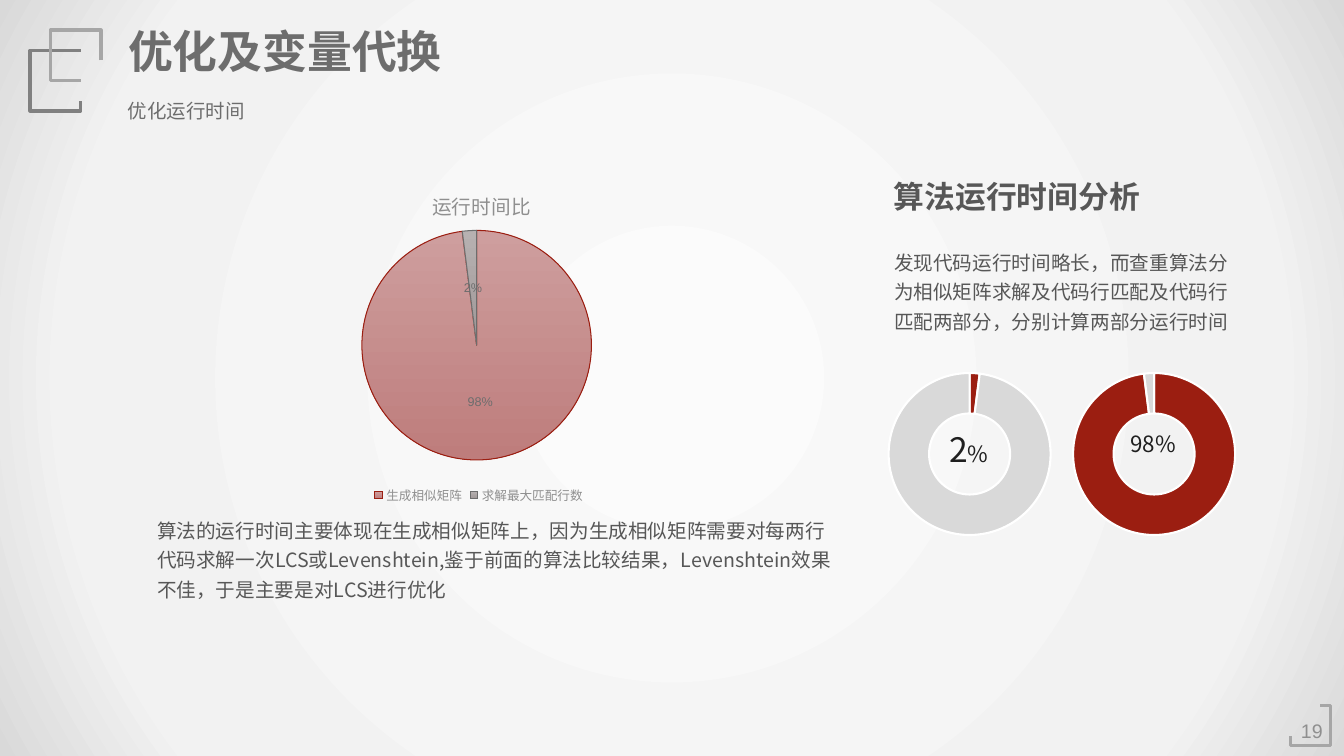
from dataclasses import dataclass
from typing import Any, Optional

from pptx import Presentation, util as u
from pptx.chart.chart import Chart
from pptx.chart.data import CategoryChartData
from pptx.dml.color import RGBColor
from pptx.enum import chart as ch, shapes, text
from pptx.oxml import parse_xml
from pptx.oxml.ns import nsdecls, qn

CELL = u.Inches(0.1)  # the slide is a grid of square cells
COLUMNS, ROWS = 133.33, 75


@dataclass(frozen=True)
class Theme:
    latin: str = "Arial"
    cjk: str = "Noto Sans CJK SC"
    title: str = "6D6D6D"
    body: str = "575757"
    ink: str = "1F1F1F"
    muted: str = "8F8F8F"
    accent: str = "9B1E11"
    rest: str = "D9D9D9"
    dark_frame: str = "808080"
    light_frame: str = "A6A6A6"
    title_pt: int = 32
    subtitle_pt: int = 24
    heading_pt: int = 22
    label_pt: int = 16
    body_pt: int = 14
    chart_pt: int = 10
    legend_pt: int = 9


@dataclass(frozen=True)
class Box:
    """A place on the grid, in columns and rows."""
    left: float
    top: float
    width: float
    height: float

    def emu(self) -> list[int]:
        return [round(n * CELL) for n in (self.left, self.top, self.width, self.height)]


@dataclass(frozen=True)
class Passage:
    box: Box
    words: str
    size: int
    color: str
    font: str
    bold: bool = False
    align: text.PP_ALIGN = text.PP_ALIGN.LEFT
    spacing: float = 0.9
    margin: float = 0
    anchor: text.MSO_ANCHOR = text.MSO_ANCHOR.TOP
    wrap: bool = True


@dataclass(frozen=True)
class Frame:
    points: tuple[tuple[float, float], ...]
    color: str
    width: float


@dataclass(frozen=True)
class Ring:
    box: Box
    share: int


T = Theme()
CENTER = text.PP_ALIGN.CENTER

TITLE = Passage(Box(11.7, 2.5, 33.4, 6.4), "优化及变量代换", T.title_pt, T.title, T.latin,
                bold=True, wrap=False)
SUBTITLE = Passage(Box(11.7, 8.3, 25.2, 3.7), "优化运行时间", T.subtitle_pt, T.title, T.latin)
ANALYSIS = Passage(
    Box(87.7, 23.8, 35.2, 9.6),
    "发现代码运行时间略长，而查重算法分为相似矩阵求解及代码行匹配及代码行匹配两部分，分别计算两部分运行时间",
    T.body_pt, T.body, T.cjk, spacing=1.25)
PASSAGES = [
    Passage(Box(87.7, 17.6, 30.5, 4.7), "算法运行时间分析", T.heading_pt, T.body, T.cjk, bold=True),
    Passage(Box(14.2, 50.4, 69.4, 9.6),
            "算法的运行时间主要体现在生成相似矩阵上，因为生成相似矩阵需要对每两行代码求解一次LCS或Levenshtein,"
            "鉴于前面的算法比较结果，Levenshtein效果不佳，于是主要是对LCS进行优化",
            T.body_pt, T.body, T.cjk, spacing=1.25, margin=0.4),
    Passage(Box(105.7, 42.5, 17.4, 3.7), "98%", T.label_pt, T.ink, T.cjk, align=CENTER),
    Passage(Box(128, 70.9, 4.3, 3.1), "19", T.body_pt, T.muted, T.latin, align=CENTER,
            spacing=1, anchor=text.MSO_ANCHOR.MIDDLE, wrap=False),
]
SMALL_SHARE = Passage(Box(87.4, 42.5, 17.4, 5), "2", T.subtitle_pt, T.ink, T.cjk, align=CENTER)
FRAMES = [
    Frame(((8.4, 5.4), (8.4, 4.6), (3, 4.6), (3, 10.7), (8.4, 10.7), (8.4, 10)), T.dark_frame, 2.5),
    Frame(((10.1, 6), (10.1, 3.3), (4.7, 3.3), (4.7, 8.1), (7.6, 8.1)), T.light_frame, 2.5),
    Frame(((128, 73.3), (128, 74.3), (132.4, 74.3), (132.4, 70.5), (130.8, 70.5)), T.light_frame, 2),
]
RINGS = [Ring(Box(86.6, 35, 19, 20.1), 2), Ring(Box(104.9, 35, 19, 20.1), 98)]
PIE_BOX = Box(26.7, 16.4, 41.6, 34)
PIE_FILLS = [("CE9E9E", "BE7D7C", T.accent), ("B7B1B1", "9F9797", T.title)]
BACKDROP = ((0, "FBFBFB"), (79, "F2F2F2"), (100, "D9D9D9"))


def rgb(color: str) -> RGBColor:
    return RGBColor.from_string(color)


def set_font(font: Any, name: str, size: int, color: str, bold: bool = False) -> None:
    font.name, font.size, font.bold = name, u.Pt(size), bold
    font.color.rgb = rgb(color)


def write(holder: Any, passage: Passage) -> Any:
    """Fill a text box or placeholder and return its paragraph."""
    holder.left, holder.top, holder.width, holder.height = passage.box.emu()
    frame = holder.text_frame
    frame.text = passage.words
    frame.word_wrap = passage.wrap
    frame.auto_size = text.MSO_AUTO_SIZE.NONE
    frame.vertical_anchor = passage.anchor
    paragraph = frame.paragraphs[0]
    paragraph.alignment = passage.align
    paragraph.line_spacing = passage.spacing
    paragraph.space_before = u.Pt(0)
    set_font(paragraph.font, passage.font, passage.size, passage.color, passage.bold)
    properties = holder.element.find(".//" + qn("a:pPr"))
    properties.set("marL", str(round(passage.margin * CELL)))
    properties.set("indent", "0")
    properties.find(qn("a:defRPr")).addprevious(parse_xml(f"<a:buNone {nsdecls('a')}/>"))
    return paragraph


def add_passage(slide: Any, passage: Passage) -> Any:
    return write(slide.shapes.add_textbox(*passage.box.emu()), passage)


def add_backdrop(slide: Any) -> None:
    """Lay a radial gradient behind everything."""
    backdrop = slide.shapes.add_shape(shapes.MSO_SHAPE.RECTANGLE, *Box(0, 0, COLUMNS, ROWS).emu())
    backdrop.shadow.inherit = False
    backdrop.line.fill.background()
    backdrop.fill.gradient()
    stops = "".join(f'<a:gs pos="{at * 1000}"><a:srgbClr val="{color}"/></a:gs>'
                    for at, color in BACKDROP)
    properties = backdrop.element.spPr
    properties.replace(properties.find(qn("a:gradFill")), parse_xml(
        f'<a:gradFill {nsdecls("a")}><a:gsLst>{stops}</a:gsLst><a:path path="circle">'
        '<a:fillToRect l="50000" t="50000" r="50000" b="50000"/></a:path></a:gradFill>'))
    slide.shapes.element.insert(2, backdrop.element)


def add_frame(slide: Any, frame: Frame) -> None:
    start, *rest = frame.points
    builder = slide.shapes.build_freeform(*start, scale=CELL)
    builder.add_line_segments(rest, close=False)
    outline = builder.convert_to_shape()
    outline.shadow.inherit = False
    outline.fill.background()
    outline.line.color.rgb = rgb(frame.color)
    outline.line.width = u.Pt(frame.width)


def place(owner: Any, x: float, y: float, size: Optional[tuple[float, float]] = None) -> None:
    """Position a chart part by shares of the chart's size."""
    values = {"x": x, "y": y} | (dict(zip("wh", size)) if size else {})
    target = '<c:layoutTarget val="inner"/>' if size else ""
    modes = '<c:xMode val="edge"/><c:yMode val="edge"/>'
    numbers = "".join(f'<c:{key} val="{value}"/>' for key, value in values.items())
    for old in owner.findall(qn("c:layout")):
        owner.remove(old)
    owner.insert(len(owner.findall(qn("c:tx"))), parse_xml(
        f'<c:layout {nsdecls("c")}><c:manualLayout>{target}{modes}{numbers}'
        '</c:manualLayout></c:layout>'))


def add_shares(slide: Any, kind: ch.XL_CHART_TYPE, box: Box, names: tuple[str, str],
               share: int) -> Chart:
    """Add a chart of a share and the rest of 100."""
    shares = CategoryChartData()
    shares.categories = names
    shares.add_series("Series 1", (share, 100 - share))
    chart = slide.shapes.add_chart(kind, *box.emu(), shares).chart
    chart.has_title = chart.has_legend = False
    set_font(chart.font, T.latin, T.chart_pt, T.ink)
    return chart


def add_ring(slide: Any, ring: Ring) -> None:
    chart = add_shares(slide, ch.XL_CHART_TYPE.DOUGHNUT, ring.box, ("1", "2"), ring.share)
    for index, color in enumerate((T.accent, T.rest)):
        part = chart.plots[0].series[0].points[index].format
        part.fill.solid()
        part.fill.fore_color.rgb = rgb(color)
        part.line.color.rgb = rgb("FFFFFF")
        part.line.width = u.Pt(1.5)
    chart.element.find(".//" + qn("c:holeSize")).set("val", "65")
    place(chart.element.find(".//" + qn("c:plotArea")), 0.08, 0.1, (0.85, 0.8))


def add_pie(slide: Any) -> None:
    chart = add_shares(slide, ch.XL_CHART_TYPE.PIE, PIE_BOX, ("生成相似矩阵", "求解最大匹配行数"), 98)
    title = chart.chart_title.text_frame
    title.text = "运行时间比"
    set_font(title.paragraphs[0].font, T.latin, T.body_pt, T.muted)
    place(chart.element.find(".//" + qn("c:title")), 0.38, 0.06)
    place(chart.element.find(".//" + qn("c:plotArea")), 0.22, 0.19, (0.55, 0.67))
    chart.has_legend = True
    chart.legend.position = ch.XL_LEGEND_POSITION.BOTTOM
    chart.legend.include_in_layout = False
    set_font(chart.legend.font, T.latin, T.legend_pt, T.muted)
    plot = chart.plots[0]
    plot.has_data_labels = True
    labels = plot.data_labels
    labels.show_percentage, labels.show_value = True, False
    labels.number_format, labels.number_format_is_linked = "0%", False
    labels.position = ch.XL_LABEL_POSITION.CENTER
    set_font(labels.font, T.latin, T.legend_pt, T.title)
    for index, (top, bottom, edge) in enumerate(PIE_FILLS):
        part = plot.series[0].points[index].format
        part.fill.gradient()
        part.fill.gradient_angle = 270
        for stop, color in zip(part.fill.gradient_stops, (top, bottom)):
            stop.color.rgb = rgb(color)
        part.line.color.rgb = rgb(edge)
        part.line.width = u.Pt(0.75)


def main() -> None:
    deck = Presentation()
    deck.slide_width, deck.slide_height = round(COLUMNS * CELL), ROWS * CELL
    slide = deck.slides.add_slide(deck.slide_layouts[1])
    add_backdrop(slide)
    write(slide.shapes.title, TITLE)
    write(slide.placeholders[1], ANALYSIS)
    for frame in FRAMES:
        add_frame(slide, frame)
    for ring in RINGS:
        add_ring(slide, ring)
    add_pie(slide)
    for passage in PASSAGES:
        add_passage(slide, passage)
    subtitle = slide.shapes.add_textbox(*SUBTITLE.box.emu())
    write(subtitle, SUBTITLE)
    subtitle.element.find(".//" + qn("a:defRPr")).set("baseline", "-3000")
    percent = add_passage(slide, SMALL_SHARE).add_run()
    percent.text = "%"
    percent.font.size = u.Pt(T.label_pt)
    deck.save("out.pptx")


if __name__ == "__main__":
    main()
